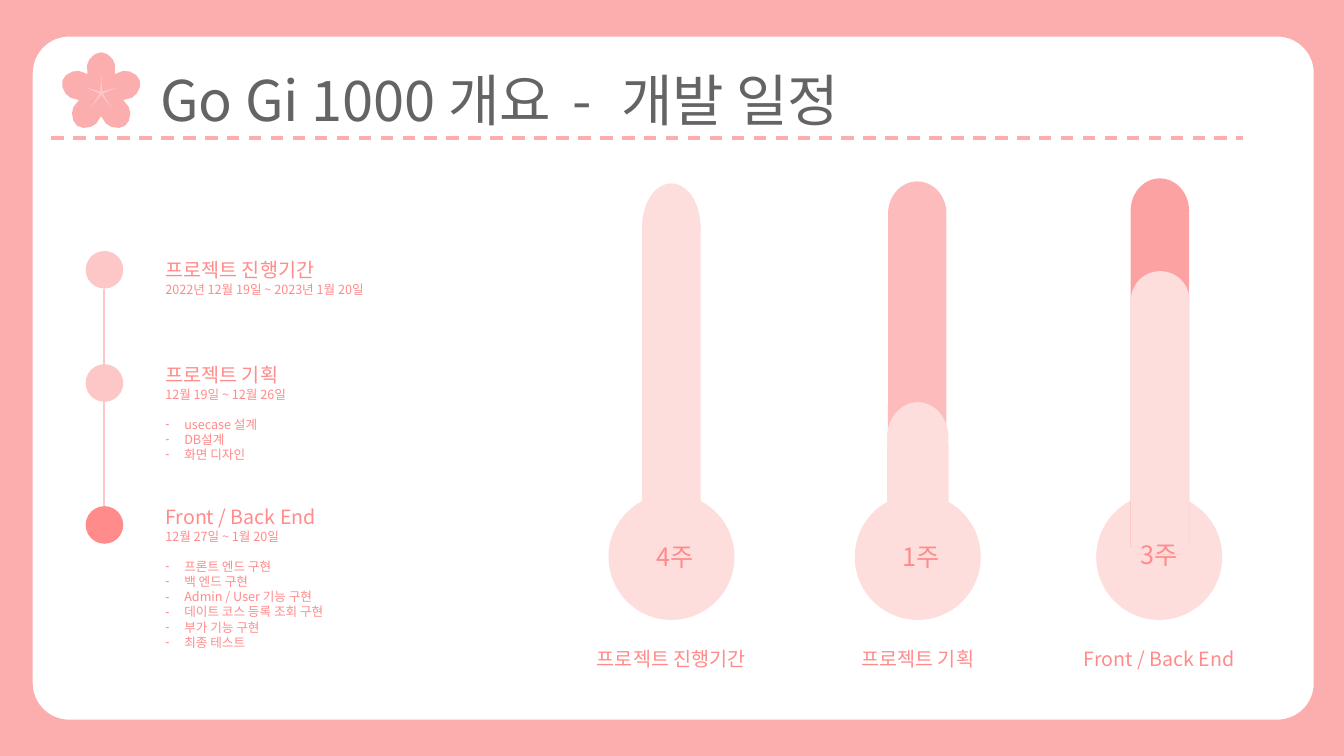
"""Build the development schedule slide with a timeline and three gauges."""
from dataclasses import dataclass
from math import cos, radians, sin

from lxml.etree import SubElement
from pptx import Presentation
from pptx.dml.color import RGBColor
from pptx.enum.dml import MSO_LINE_DASH_STYLE as Dash
from pptx.enum.shapes import MSO_CONNECTOR, MSO_SHAPE as Preset
from pptx.enum.text import MSO_ANCHOR, MSO_AUTO_SIZE, PP_ALIGN
from pptx.oxml.ns import qn
from pptx.util import Emu, Pt

COLUMNS, ROWS = 80, 45
CELL = 152400
FONT = "Noto Sans CJK KR"
COLORS = {
    "frame": "FCAEAE", "title": "646464", "accent": "FF8B8B", "soft": "FDC7C7",
    "level": "FEDDDD", "medium": "FDBBBB", "strong": "FCA2A2",
}
Point = tuple[float, float]
Box = tuple[float, float, float, float]


@dataclass(frozen=True)
class Stage:
    name: str
    period: str
    tasks: tuple[str, ...]
    text_box: Box
    dot_top: float
    dot_color: str


@dataclass(frozen=True)
class Tube:
    color: str
    left: float
    width: float
    cap_top: float
    cap_height: float
    body_top: float
    body_height: float
    rounding: float


@dataclass(frozen=True)
class Gauge:
    name: str
    duration: str
    center: float
    duration_center: float
    duration_top: float
    tubes: tuple[Tube, ...]


STAGES = (
    Stage("프로젝트 진행기간", "2022년 12월 19일 ~ 2023년 1월 20일", (),
          (9.24, 15.06, 15, 3.84), 14.94, "soft"),
    Stage("프로젝트 기획", "12월 19일 ~ 12월 26일",
          ("usecase 설계", "DB설계", "화면 디자인"),
          (9.24, 21.3, 13.56, 7.98), 21.68, "soft"),
    Stage("Front / Back End", "12월 27일 ~ 1월 20일",
          ("프론트 엔드 구현", "백 엔드 구현", "Admin / User 기능 구현",
           "데이트 코스 등록 조회 구현", "부가 기능 구현", "최종 테스트"),
          (9.24, 29.76, 15.42, 9.3), 30.13, "accent"),
)
GAUGES = (
    Gauge(STAGES[0].name, "4주", 39.97, 40.17, 31.92, (
        Tube("level", 38.22, 3.48, 10.92, 5.16, 12.9, 20.04, 0.17),)),
    Gauge(STAGES[1].name, "1주", 54.63, 54.81, 31.92, (
        Tube("medium", 52.86, 3.48, 10.8, 3.84, 12.12, 20.7, 0.3),
        Tube("level", 52.8, 3.66, 23.94, 4.2, 25.98, 6.96, 0.14))),
    Gauge(STAGES[2].name, "3주", 69, 68.97, 31.8, (
        Tube("strong", 67.3, 3.48, 10.62, 3.84, 12.12, 20.88, 0.2),
        Tube("level", 67.32, 3.48, 16.14, 3.42, 17.22, 15.78, 0.17))),
)


def cells(count: float) -> Emu:
    return Emu(round(count * CELL))


def rgb(color: str) -> RGBColor:
    return RGBColor.from_string(COLORS[color])


def polar(center: Point, radius: float, degrees: float) -> Point:
    angle = radians(degrees)
    return center[0] + radius * sin(angle), center[1] - radius * cos(angle)


def paint(shape, color: str) -> None:
    shape.fill.solid()
    shape.fill.fore_color.rgb = rgb(color)
    shape.line.fill.background()
    shape.shadow.inherit = False


def add_preset(slide, preset: Preset, box: Box, color: str, adjustment: float | None = None) -> None:
    shape = slide.shapes.add_shape(preset, *map(cells, box))
    if adjustment is not None:
        shape.adjustments[0] = adjustment
    paint(shape, color)


def add_outline(slide, contours: list[list[Point]], color: str) -> None:
    outlines = [[(cells(x), cells(y)) for x, y in contour] for contour in contours]
    builder = slide.shapes.build_freeform(*outlines[0][0])
    for index, outline in enumerate(outlines):
        if index:
            builder.move_to(*outline[0])
        builder.add_line_segments(outline[1:], close=True)
    paint(builder.convert_to_shape(), color)


def add_line(slide, start: Point, end: Point, color: str, weight: float, dash: Dash | None = None) -> None:
    line = slide.shapes.add_connector(MSO_CONNECTOR.STRAIGHT, *map(cells, start + end))
    line.line.color.rgb = rgb(color)
    line.line.width = Pt(weight)
    if dash:
        line.line.dash_style = dash
    SubElement(line.element.spPr, qn("a:effectLst"))


def place(shape, box: Box) -> None:
    shape.left, shape.top, shape.width, shape.height = map(cells, box)
    shape.text_frame.word_wrap = True
    shape.text_frame.auto_size = MSO_AUTO_SIZE.NONE
    shape.text_frame.vertical_anchor = MSO_ANCHOR.TOP


def format_runs(paragraph, size: float, color: str) -> None:
    for run in paragraph.runs:
        run.font.size, run.font.bold = Pt(size), False
        run.font.color.rgb = rgb(color)
        run.font.name = FONT
        SubElement(run.font._element, qn("a:ea"), typeface=FONT)


def add_label(slide, text: str, box: Box, size: float) -> None:
    label = slide.shapes.add_textbox(*map(cells, box))
    place(label, box)
    label.text_frame.text = text
    paragraph = label.text_frame.paragraphs[0]
    paragraph.alignment = PP_ALIGN.CENTER
    format_runs(paragraph, size, "accent")


def draw_frame(slide) -> None:
    left, top, right, bottom, radius = 1.95, 2.18, 78.2, 42.84, 2.16
    corners = (((right - radius, top + radius), 0), ((right - radius, bottom - radius), 90),
               ((left + radius, bottom - radius), 180), ((left + radius, top + radius), 270))
    panel = [polar(center, radius, start + step)
             for center, start in corners for step in range(0, 91, 6)]
    add_outline(slide, [panel, [(0, 0), (0, ROWS), (COLUMNS, ROWS), (COLUMNS, 0)]], "frame")


def draw_flower(slide) -> None:
    half = ((0, 2.42), (9, 2.34), (19, 2.12), (27, 1.85), (36, 1.38))
    petal = [(-angle, radius) for angle, radius in half[:0:-1]] + list(half[:-1])
    blossom = [polar((6.02, 5.53), radius, turn + angle)
               for turn in range(0, 360, 72) for angle, radius in petal]
    add_outline(slide, [blossom], "frame")
    add_preset(slide, Preset.STAR_5_POINT, (5.04, 4.44, 1.98, 1.98), "soft", 0.05)


def write_title(title) -> None:
    place(title, (8.94, 3.6, 66, 4.62))
    title.text_frame.text = "Go Gi 1000 개요"
    paragraph = title.text_frame.paragraphs[0]
    paragraph.alignment = PP_ALIGN.LEFT
    for part in (" - ", "개발 일정"):
        paragraph.add_run().text = part
    format_runs(paragraph, 40, "title")
    paragraph.runs[1].font._element.set("spc", "600")


def write_stage(body, stage: Stage) -> None:
    place(body, stage.text_box)
    body.text_frame.text = "\n".join((stage.name, stage.period, *stage.tasks))
    for index, paragraph in enumerate(body.text_frame.paragraphs):
        is_task = index > 1
        indent = cells(1.13) if is_task else 0
        properties = paragraph._p.get_or_add_pPr()
        properties.set("marL", str(indent))
        properties.set("indent", str(-indent))
        if is_task:
            SubElement(properties, qn("a:buChar"), char="-")
        else:
            SubElement(properties, qn("a:buNone"))
        paragraph.space_before = Pt(10.8 if index == 2 else 0)
        format_runs(paragraph, 9 if index else 14, "accent")


def draw_gauge(slide, gauge: Gauge) -> None:
    add_preset(slide, Preset.OVAL, (gauge.center - 3.75, 29.4, 7.5, 7.5), "level")
    for tube in gauge.tubes:
        add_preset(slide, Preset.ROUNDED_RECTANGLE,
                   (tube.left, tube.body_top, tube.width, tube.body_height), tube.color, tube.rounding)
        add_preset(slide, Preset.OVAL,
                   (tube.left, tube.cap_top, tube.width, tube.cap_height), tube.color)
    add_label(slide, gauge.name, (gauge.center - 7.71, 38.22, 15.42, 2.04), 14)
    add_label(slide, gauge.duration,
              (gauge.duration_center - 7.71, gauge.duration_top, 15.42, 2.4), 18)


def main() -> None:
    deck = Presentation()
    deck.slide_width, deck.slide_height = cells(COLUMNS), cells(ROWS)
    slide = deck.slides.add_slide(deck.slide_layouts[4])
    title, *bodies, spare = slide.placeholders
    spare.element.getparent().remove(spare.element)
    draw_frame(slide)
    write_title(title)
    add_line(slide, (3.06, 8.22), (73.98, 8.22), "frame", 2.25, Dash.DASH)
    draw_flower(slide)
    add_line(slide, (6.2, 17.2), (6.2, 30.12), "soft", 1.5)
    for body, stage in zip(bodies, STAGES):
        add_preset(slide, Preset.OVAL, (5.1, stage.dot_top, 2.24, 2.24), stage.dot_color)
        write_stage(body, stage)
    for gauge in GAUGES:
        draw_gauge(slide, gauge)
    deck.save("out.pptx")


if __name__ == "__main__":
    main()
